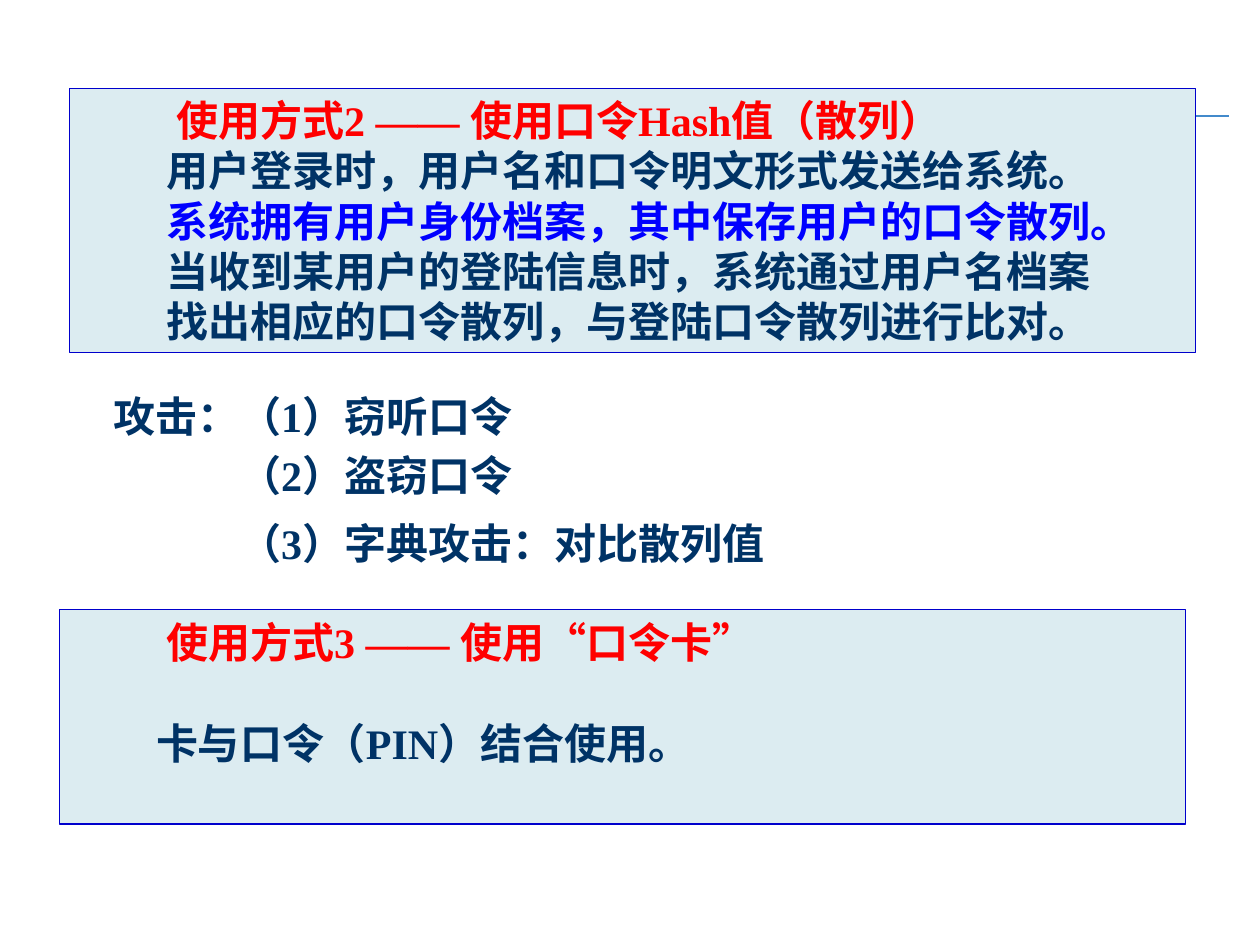
from lxml import etree
from pptx import Presentation
from pptx.dml.color import RGBColor
from pptx.enum.shapes import MSO_CONNECTOR, MSO_SHAPE
from pptx.enum.text import MSO_ANCHOR, PP_ALIGN
from pptx.oxml.ns import qn
from pptx.util import Inches, Pt

STRAIGHT = MSO_CONNECTOR.STRAIGHT
RECTANGLE = MSO_SHAPE.RECTANGLE
TOP = MSO_ANCHOR.TOP
LEFT = PP_ALIGN.LEFT

NAVY = RGBColor(0x00, 0x33, 0x66)
RED = RGBColor(0xFF, 0x00, 0x00)
BLUE = RGBColor(0x00, 0x00, 0xFF)
BORDER = RGBColor(0x00, 0x00, 0xCC)
PALE = RGBColor(0xDC, 0xEC, 0xF1)
RULE = RGBColor(0x43, 0x8A, 0xCB)

SLIDE_WIDTH, SLIDE_HEIGHT = Inches(10), Inches(7.5)
COLUMNS, ROWS = 100, 75
BLOCK_WIDTH = 89.4
HEADING_INDENT, BODY_INDENT = 7.5, 6.7


class PasswordSlide:
    """Draw styled elements on one slide, placed by grid columns and rows."""

    font_name = "Times New Roman"
    font_size = Pt(24)
    line_width = Pt(0.75)

    def __init__(self, slide):
        self.slide = slide

    def x(self, columns):
        return round(SLIDE_WIDTH * columns / COLUMNS)

    def y(self, rows):
        return round(SLIDE_HEIGHT * rows / ROWS)

    def frame(self, left, top, height):
        return self.x(left), self.y(top), self.x(BLOCK_WIDTH), self.y(height)

    def rule(self, start, end, row):
        rule = self.slide.shapes.add_connector(
            STRAIGHT, self.x(start), self.y(row), self.x(end), self.y(row))
        rule.line.color.rgb = RULE
        rule.line.width = self.line_width
        etree.SubElement(rule._element.spPr, qn("a:effectLst"))

    def panel(self, left, top, height, lines):
        panel = self.slide.shapes.add_shape(RECTANGLE, *self.frame(left, top, height))
        panel.shadow.inherit = False
        panel.fill.solid()
        panel.fill.fore_color.rgb = PALE
        panel.line.color.rgb = BORDER
        panel.line.width = self.line_width
        self.set_lines(panel.text_frame, lines)

    def note(self, left, top, height, text, indent):
        note = self.slide.shapes.add_textbox(*self.frame(left, top, height))
        self.set_lines(note.text_frame, [(text, indent, NAVY, 0)])

    def set_lines(self, text_frame, lines):
        text_frame.word_wrap = True
        text_frame.vertical_anchor = TOP
        text_frame.text = "\n".join(line[0] for line in lines)
        for paragraph, (_, indent, color, gap) in zip(text_frame.paragraphs, lines):
            paragraph._p.get_or_add_pPr().set("marL", str(self.x(indent)))
            paragraph.alignment = LEFT
            if gap:
                paragraph.space_before = Pt(gap)
            for run in paragraph.runs:
                run.font.name = self.font_name
                run.font.size = self.font_size
                run.font.bold = True
                run.font.color.rgb = color


def main():
    presentation = Presentation()
    presentation.slide_width = SLIDE_WIDTH
    presentation.slide_height = SLIDE_HEIGHT
    page = PasswordSlide(presentation.slides.add_slide(presentation.slide_layouts[6]))

    page.rule(87.5, 97.5, 9.2)
    page.panel(5.5, 7, 21, [
        ("使用方式2 —— 使用口令Hash值（散列）", HEADING_INDENT, RED, 0),
        ("用户登录时，用户名和口令明文形式发送给系统。", BODY_INDENT, NAVY, 0),
        ("系统拥有用户身份档案，其中保存用户的口令散列。", BODY_INDENT, BLUE, 0),
        ("当收到某用户的登陆信息时，系统通过用户名档案", BODY_INDENT, NAVY, 0),
        ("找出相应的口令散列，与登陆口令散列进行比对。", BODY_INDENT, NAVY, 0),
    ])

    attacks = [
        ("攻击：（1）窃听口令", 30.5, 1.7),
        ("（2）盗窃口令", 35.2, 11.7),
        ("（3）字典攻击：对比散列值", 40.6, 11.7),
    ]
    for attack, top, indent in attacks:
        page.note(6.3, top, 5, attack, indent)

    page.panel(4.7, 48.4, 17, [
        ("使用方式3 —— 使用“口令卡”", HEADING_INDENT, RED, 0),
        ("卡与口令（PIN）结合使用。", BODY_INDENT, NAVY, 29),
    ])
    presentation.save("out.pptx")


if __name__ == "__main__":
    main()
